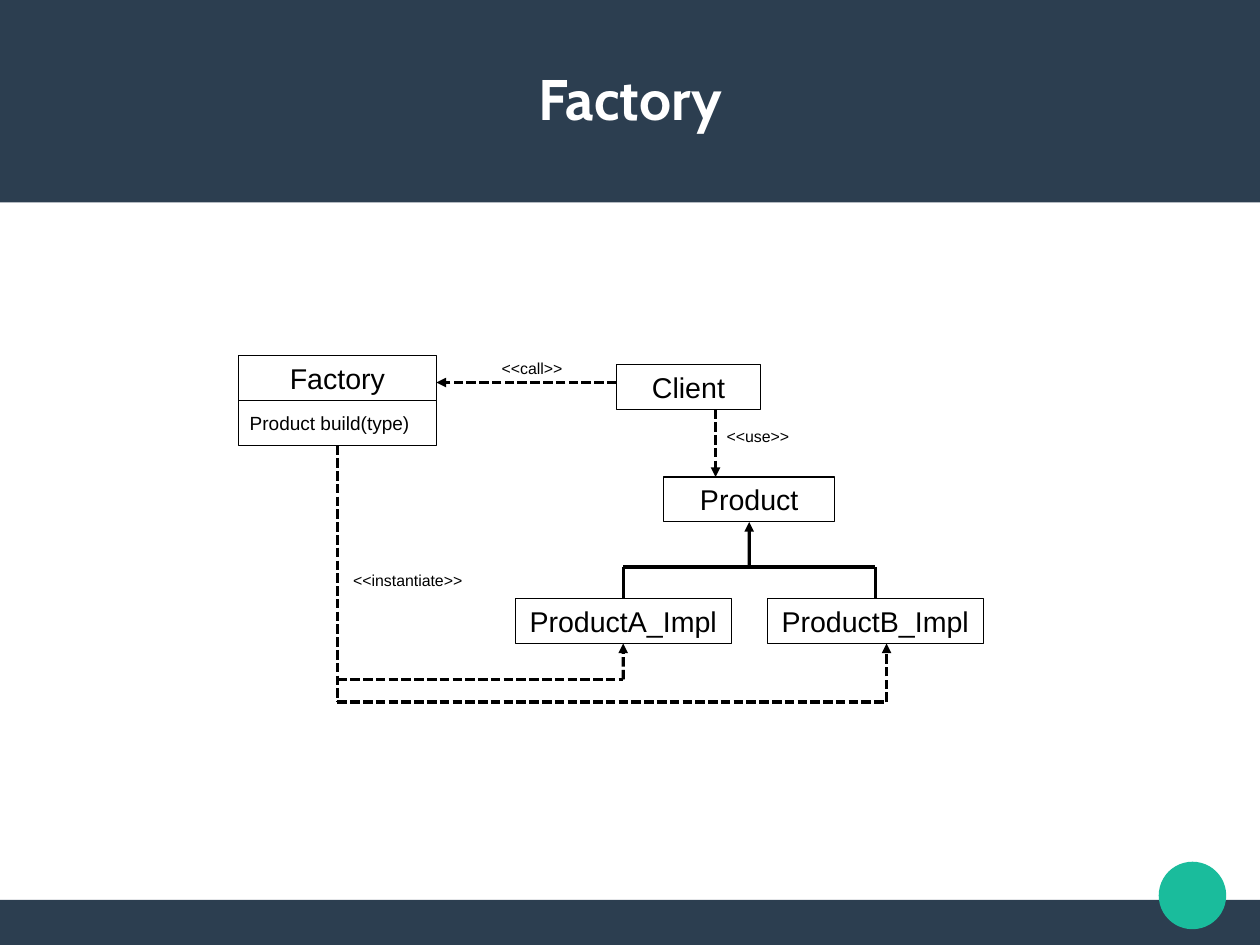
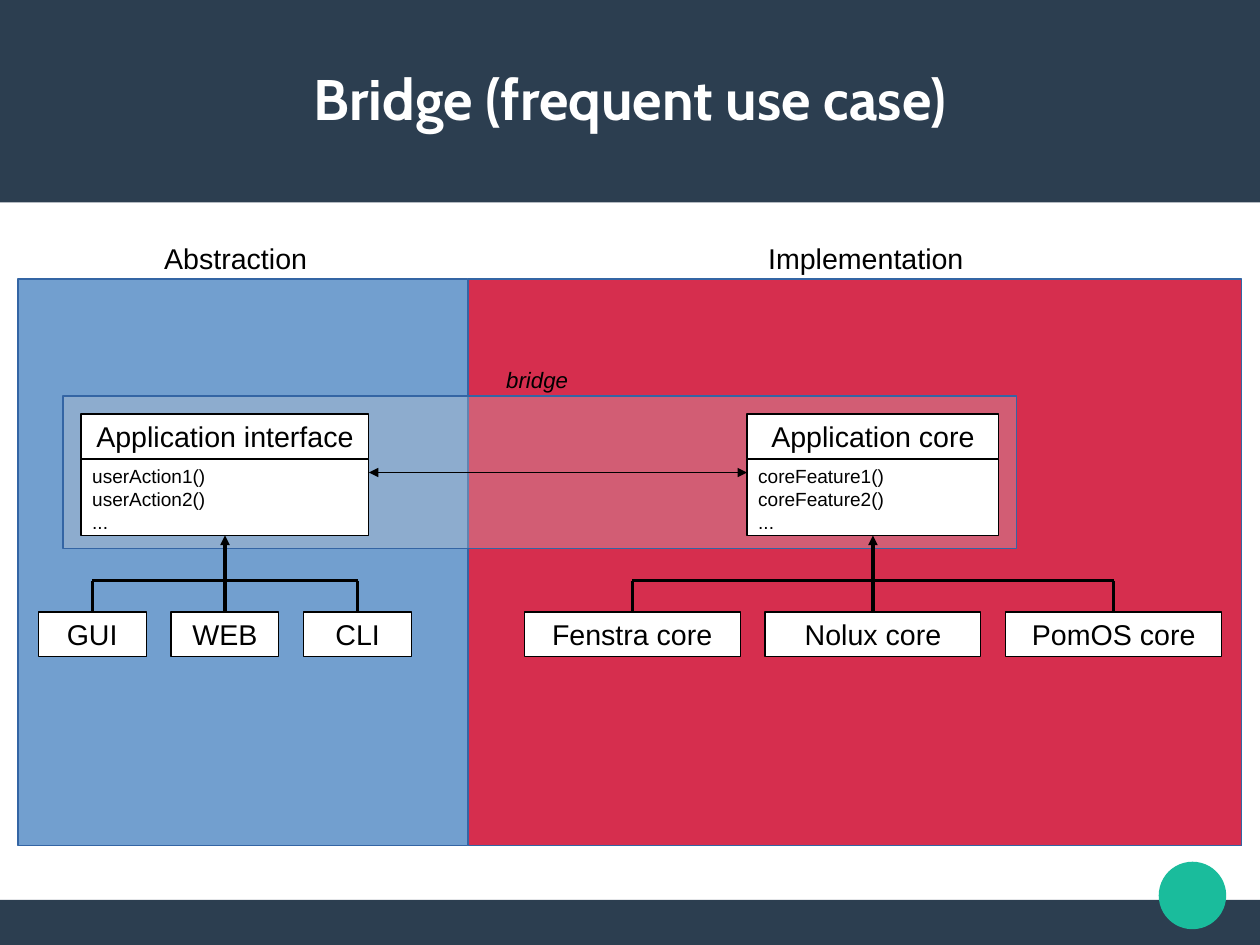
from lxml import etree
from pptx import Presentation
from pptx.dml.color import RGBColor
from pptx.enum.dml import MSO_LINE
from pptx.enum.shapes import MSO_CONNECTOR, MSO_SHAPE
from pptx.enum.text import MSO_ANCHOR, PP_ALIGN
from pptx.oxml.ns import qn
from pptx.util import Cm, Pt

RECT, OVAL = MSO_SHAPE.RECTANGLE, MSO_SHAPE.OVAL
LINE, DASH = MSO_CONNECTOR.STRAIGHT, MSO_LINE.SQUARE_DOT
LEFT, MID = PP_ALIGN.LEFT, PP_ALIGN.CENTER
TOP, CENTER = MSO_ANCHOR.TOP, MSO_ANCHOR.MIDDLE
COLS, ROWS = 28, 21
NORTH, SOUTH = 0, 2
NAVY, TEAL, WHITE, BLACK = "2C3E50", "1ABC9C", "FFFFFF", "000000"
RED, BLUE, EDGE, GRAY = "D62E4E", "729FCF", "3465A4", "CCCCCC"


def grid(*cells):
    """Turn grid cells of one centimetre into lengths."""
    return [Cm(cell) for cell in cells]


def color(code):
    """Turn a hex string into a colour."""
    return RGBColor.from_string(code)


def text(shape, words, size=18, font="Arial", ink=BLACK, bold=False,
         italic=False, align=MID, anchor=CENTER):
    """Write one paragraph per line of words into a shape."""
    frame = shape.text_frame
    frame.word_wrap = align == LEFT
    frame.vertical_anchor = anchor
    for i, row in enumerate(words.split("\n")):
        para = frame.add_paragraph() if i else frame.paragraphs[0]
        para.alignment = align
        run = para.add_run()
        run.text = row
        run.font.size, run.font.name = Pt(size), font
        run.font.bold, run.font.italic = bold, italic
        run.font.color.rgb = color(ink)


def block(page, cells, fill=WHITE, edge=None, kind=RECT, alpha=None):
    """Add a filled shape with an optional hairline edge."""
    shape = page.shapes.add_shape(kind, *grid(*cells))
    shape.shadow.inherit = False
    shape.fill.solid()
    shape.fill.fore_color.rgb = color(fill)
    if alpha:
        tone = shape.fill._xPr.find(qn("a:solidFill"))[0]
        etree.SubElement(tone, qn("a:alpha"), val=str(alpha * 1000))
    if edge:
        shape.line.color.rgb = color(edge)
        shape.line.width = 0
    else:
        shape.line.fill.background()
    return shape


def box(page, cells, words, **form):
    """Add a white box with a black edge and text."""
    shape = block(page, cells, edge=BLACK)
    text(shape, words, **form)
    return shape


def label(page, cells, words, **form):
    """Add a left-aligned text box."""
    note = page.shapes.add_textbox(*grid(*cells))
    text(note, words, align=LEFT, anchor=TOP, **form)


def wire(page, start, end, tips=(), dash=None, width=0, source=None, goal=None):
    """Draw a line; source and goal are (shape, site) pairs to join."""
    line = page.shapes.add_connector(LINE, *grid(*start, *end))
    if source:
        line.begin_connect(*source)
    if goal:
        line.end_connect(*goal)
    line.line.color.rgb = color(BLACK)
    line.line.width = Pt(width)
    if dash:
        line.line.dash_style = dash
    stroke = line.line._get_or_add_ln()
    for tip in tips:
        etree.SubElement(stroke, qn("a:" + tip), type="triangle")
    etree.SubElement(line._element.spPr, qn("a:effectLst"))


def tree(page, parent, names, top, width, pitch, bus):
    """Centre child boxes under a parent and link them by a bus line."""
    mid = (parent.left + parent.width / 2) / Cm(1)
    foot = (parent.top + parent.height) / Cm(1)
    spots = [mid + (i - (len(names) - 1) / 2) * pitch for i in range(len(names))]
    kids = []
    for x, name in zip(spots, names):
        kid = box(page, (x - width / 2, top, width, 1), name)
        wire(page, (x, bus), (x, top), goal=(kid, NORTH))
        kids.append(kid)
    wire(page, (spots[0], bus), (spots[-1], bus))
    wire(page, (mid, bus), (mid, foot), tips=["tailEnd"], goal=(parent, SOUTH))
    return kids


def start(deck, title):
    """Add a slide with the shared bands, disc and title."""
    page = deck.slides.add_slide(deck.slide_layouts[6])
    block(page, (0, ROWS - 1, COLS, 1), NAVY)
    block(page, (0, 0, COLS, 4.5), NAVY)
    block(page, (25.75, 19.15, 1.5, 1.5), TEAL, kind=OVAL)
    head = page.shapes.add_textbox(*grid(1, 0.84, COLS - 2, 2.67))
    frame = head.text_frame
    frame.margin_left = frame.margin_right = 0
    frame.margin_top = frame.margin_bottom = 0
    text(head, title, size=36, font="Cabin", ink=WHITE, bold=True)
    return page


def factory(deck):
    """Build the factory class diagram."""
    page = start(deck, "Factory")
    box(page, (13.7, 8.1, 3.2, 1), "Client")
    box(page, (5.3, 7.9, 4.4, 1), "Factory")
    build = box(page, (5.3, 8.9, 4.4, 1), "Product build(type)", size=12, align=LEFT)
    goods = box(page, (14.75, 10.6, 3.8, 1), "Product")
    first = tree(page, goods, ["ProductA_Impl", "ProductB_Impl"],
                 top=13.3, width=4.8, pitch=5.6, bus=12.6)[0]
    tip = ["tailEnd"]
    wire(page, (7.5, 9.9), (7.5, 15.6), dash=DASH, source=(build, SOUTH))
    wire(page, (7.5, 15.1), (13.85, 15.1), dash=DASH)
    wire(page, (13.85, 15.1), (13.85, 14.3), tip, DASH, goal=(first, SOUTH))
    wire(page, (7.5, 15.6), (19.7, 15.6), dash=DASH)
    wire(page, (19.7, 15.6), (19.7, 14.3), tip, DASH)
    wire(page, (13.7, 8.5), (9.7, 8.5), tip, DASH)
    wire(page, (15.9, 9.1), (15.9, 10.6), tip, DASH)
    for x, y, width, words in ((10.9, 7.85, 2, "<<call>>"),
                               (7.6, 12.55, 3, "<<instantiate>>"),
                               (15.9, 9.35, 2, "<<use>>")):
        label(page, (x, y, width, 0.64), words, size=10)


def bridge(deck):
    """Build the bridge diagram with its two sides."""
    page = start(deck, "Bridge (frequent use case)")
    block(page, (10.4, 6.2, 17.2, 12.6), RED, EDGE)
    block(page, (0.4, 6.2, 10, 12.6), BLUE, EDGE)
    block(page, (1.4, 8.8, 21.2, 3.4), GRAY, EDGE, alpha=30)
    sides = (
        (1.8, 6.4, "Application interface", "userAction1()\nuserAction2()\n...",
         ["GUI", "WEB", "CLI"], 2.4, 2.95),
        (16.6, 5.6, "Application core", "coreFeature1()\ncoreFeature2()\n...",
         ["Fenstra core", "Nolux core", "PomOS core"], 4.8, 5.35),
    )
    for left, wide, name, calls, kids, width, pitch in sides:
        box(page, (left, 9.2, wide, 1), name)
        body = box(page, (left, 10.2, wide, 1.7), calls, size=12, align=LEFT, anchor=TOP)
        tree(page, body, kids, top=13.6, width=width, pitch=pitch, bus=12.9)
    wire(page, (8.2, 10.5), (16.6, 10.5), ["headEnd", "tailEnd"], width=1)
    label(page, (3.4, 5.24, 4, 0.96), "Abstraction")
    label(page, (16.82, 5.24, 5.2, 0.96), "Implementation")
    label(page, (11, 8.02, 2.2, 0.8), "bridge", size=14, italic=True)


def main():
    """Build and save the slides."""
    deck = Presentation()
    deck.slide_width, deck.slide_height = grid(COLS, ROWS)
    factory(deck)
    bridge(deck)
    deck.save("out.pptx")


if __name__ == "__main__":
    main()
